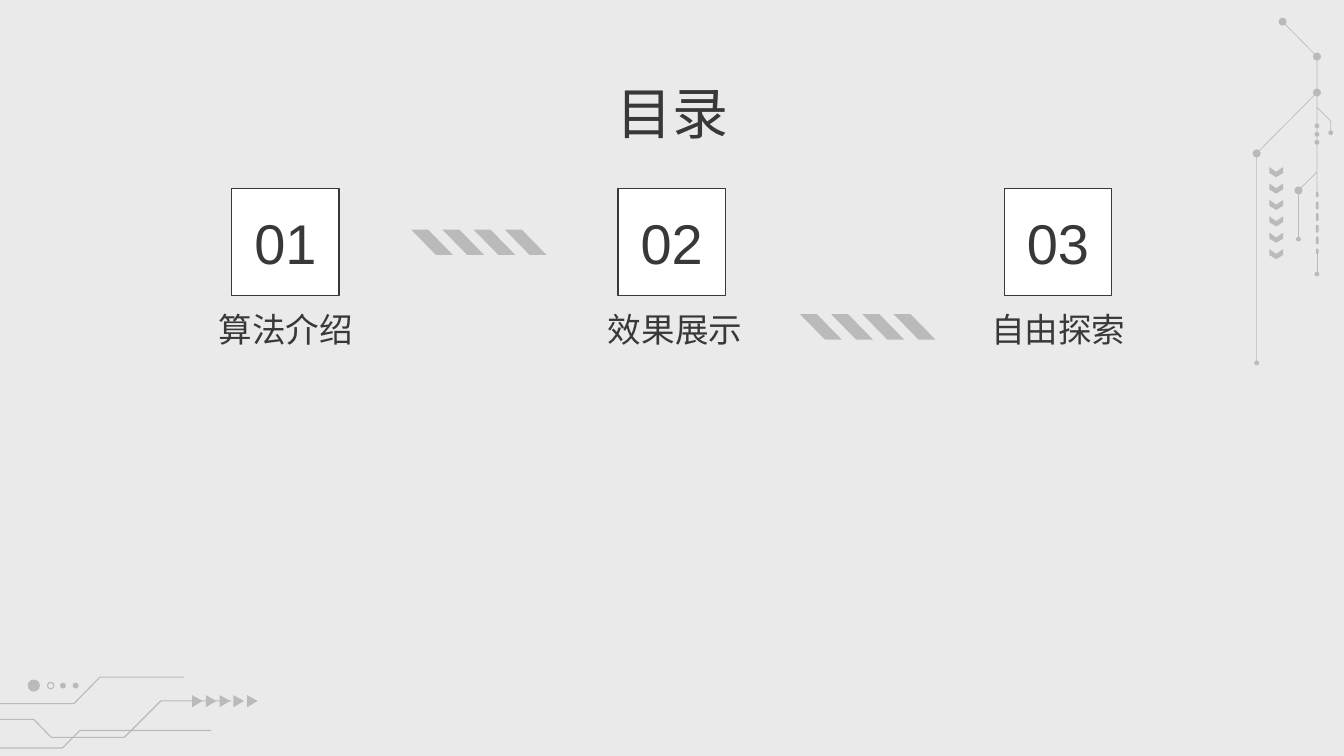
import dataclasses
import typing

import lxml.etree
import pptx
import pptx.dml.color
import pptx.enum.shapes
import pptx.enum.text
import pptx.oxml.ns
import pptx.util

Cm = pptx.util.Cm
Points = typing.Sequence[tuple[float, float]]
SHAPE = pptx.enum.shapes.MSO_SHAPE
ANCHOR = pptx.enum.text.MSO_ANCHOR


def rgb(code: str) -> pptx.dml.color.RGBColor:
    return pptx.dml.color.RGBColor.from_string(code)


@dataclasses.dataclass(frozen=True)
class Theme:
    paper: str = "EAEAEA"
    card: str = "FFFFFF"
    ink: str = "383838"
    accent: str = "BABABA"
    latin: str = "Arial"
    cjk: str = "Noto Sans CJK SC"
    heading: float = 30
    label: float = 18
    border: float = 0.75
    trace: float = 0.6
    fine: float = 0.35


@dataclasses.dataclass(frozen=True)
class Trace:
    points: Points
    width: float


@dataclasses.dataclass(frozen=True)
class Dot:
    x: float
    y: float
    size: float
    hollow: bool = False


@dataclasses.dataclass(frozen=True)
class Row:
    outline: Points
    x: float
    y: float
    count: int
    dx: float = 0
    dy: float = 0


@dataclasses.dataclass(frozen=True)
class Section:
    number: str
    name: str
    nudge: float = 0


T = Theme()
BIG, SMALL = 0.15, 0.09
SPINE = 24.89

TRACES = [
    Trace([(-0.74, 14.14), (1.18, 14.14), (1.51, 13.81), (3.99, 13.81)], T.trace),
    Trace([(-0.91, 13.6), (0.64, 13.6), (0.97, 13.94), (2.35, 13.94),
           (3.04, 13.25), (4.37, 13.25)], T.trace),
    Trace([(-0.81, 13.3), (1.4, 13.3), (1.89, 12.8), (3.48, 12.8)], T.trace),
    Trace([(24.24, 0.41), (SPINE, 1.07), (SPINE, 3.66)], T.fine),
    Trace([(SPINE, 4.76), (SPINE, 5.18)], T.fine),
    Trace([(SPINE, 2.03), (25.15, 2.29), (25.15, 2.51)], T.fine),
    Trace([(SPINE, 3.25), (24.54, 3.6), (24.54, 4.52)], T.fine),
    Trace([(SPINE, 1.75), (23.75, 2.9), (23.75, 6.86)], T.fine),
]
DOTS = [
    Dot(0.64, 12.96, 0.23), Dot(0.96, 12.96, 0.12, hollow=True),
    Dot(1.19, 12.96, 0.11), Dot(1.43, 12.96, 0.11),
    Dot(24.24, 0.41, BIG), Dot(SPINE, 1.07, BIG), Dot(SPINE, 1.75, BIG),
    Dot(23.75, 2.9, BIG), Dot(24.54, 3.6, BIG),
    Dot(SPINE, 2.38, SMALL), Dot(SPINE, 2.54, SMALL), Dot(SPINE, 2.69, SMALL),
    Dot(25.15, 2.51, SMALL), Dot(24.54, 4.52, SMALL),
    Dot(SPINE, 5.18, SMALL), Dot(23.75, 6.86, SMALL),
]
DASHES = [(3.63, 0.1), *((3.81 + 0.22 * i, 0.15) for i in range(4)), (4.7, 0.1)]

ARROW = [(0, 0), (0, 0.23), (0.2, 0.11)]
CHEVRON = [(0, 0), (0.13, 0.09), (0.26, 0), (0.26, 0.11), (0.13, 0.19), (0, 0.11)]
STRIPE = [(0, 0), (0.47, 0.48), (0.79, 0.48), (0.32, 0)]
ORNAMENTS = [
    Row(ARROW, 3.63, 13.14, 5, dx=0.26),
    Row(CHEVRON, 23.99, 3.16, 6, dy=0.31),
]
STRIPES = [
    Row(STRIPE, 7.77, 4.34, 4, dx=0.59),
    Row(STRIPE, 15.12, 5.94, 4, dx=0.59),
]
SECTIONS = [
    Section("01", "算法介绍"),
    Section("02", "效果展示", nudge=0.06),
    Section("03", "自由探索"),
]


def paint(sp, fill: str | None = None, line: str | None = None, width: float = 0) -> None:
    sp.shadow.inherit = False
    if fill:
        sp.fill.solid()
        sp.fill.fore_color.rgb = rgb(fill)
    else:
        sp.fill.background()
    if line:
        sp.line.color.rgb = rgb(line)
        sp.line.width = pptx.util.Pt(width)
    else:
        sp.line.fill.background()


def add_outline(s, points: Points, closed: bool):
    pts = [(Cm(x), Cm(y)) for x, y in points]
    fb = s.shapes.build_freeform(*pts[0], scale=1.0)
    fb.add_line_segments(pts[1:], close=closed)
    return fb.convert_to_shape()


def add_trace(s, trace: Trace) -> None:
    if len(trace.points) > 2:
        paint(add_outline(s, trace.points, False), line=T.accent, width=trace.width)
        return
    (x1, y1), (x2, y2) = trace.points
    c = s.shapes.add_connector(pptx.enum.shapes.MSO_CONNECTOR.STRAIGHT,
                               Cm(x1), Cm(y1), Cm(x2), Cm(y2))
    c.line.color.rgb = rgb(T.accent)
    c.line.width = pptx.util.Pt(trace.width)
    lxml.etree.SubElement(c._element.spPr, pptx.oxml.ns.qn("a:effectLst"))


def add_dot(s, dot: Dot) -> None:
    sp = s.shapes.add_shape(SHAPE.OVAL, Cm(dot.x - dot.size / 2),
                            Cm(dot.y - dot.size / 2), Cm(dot.size), Cm(dot.size))
    if dot.hollow:
        paint(sp, line=T.accent, width=T.trace)
    else:
        paint(sp, T.accent)


def add_row(s, row: Row) -> None:
    for i in range(row.count):
        pts = [(row.x + i * row.dx + x, row.y + i * row.dy + y) for x, y in row.outline]
        paint(add_outline(s, pts, True), T.accent)


def write(sp, text: str, *, size: float, font: str, anchor=ANCHOR.TOP) -> None:
    tf = sp.text_frame
    tf.word_wrap = True
    tf.vertical_anchor = anchor
    tf.margin_left = tf.margin_right = tf.margin_top = tf.margin_bottom = Cm(0.25)
    p = tf.paragraphs[0]
    p.alignment = pptx.enum.text.PP_ALIGN.CENTER
    r = p.add_run()
    r.text = text
    r.font.size = pptx.util.Pt(size)
    r.font.name = font
    r.font.color.rgb = rgb(T.ink)
    ea = lxml.etree.SubElement(r._r.get_or_add_rPr(), pptx.oxml.ns.qn("a:ea"))
    ea.set("typeface", font)


def add_section(s, section: Section, centre: float) -> None:
    box = s.shapes.add_shape(SHAPE.RECTANGLE, Cm(centre - 1.02), Cm(3.56), Cm(2.03), Cm(2.03))
    paint(box, T.card, T.ink, T.border)
    write(box, section.number, size=T.heading, font=T.latin, anchor=ANCHOR.MIDDLE)
    label = s.shapes.add_textbox(Cm(centre - 2.54 + section.nudge), Cm(5.59), Cm(5.08), Cm(2.03))
    write(label, section.name, size=T.label, font=T.cjk)


def main() -> None:
    prs = pptx.Presentation()
    prs.slide_width, prs.slide_height = Cm(25.4), Cm(14.29)
    s = prs.slides.add_slide(prs.slide_layouts[6])
    s.background.fill.solid()
    s.background.fill.fore_color.rgb = rgb(T.paper)

    for trace in TRACES:
        add_trace(s, trace)
    for dot in DOTS:
        add_dot(s, dot)
    for y, height in DASHES:
        dash = s.shapes.add_shape(SHAPE.ROUNDED_RECTANGLE, Cm(SPINE - 0.02), Cm(y),
                                  Cm(0.05), Cm(height))
        dash.adjustments[0] = 0.5
        paint(dash, T.accent)
    for row in ORNAMENTS:
        add_row(s, row)

    title = s.shapes.add_textbox(Cm(2), Cm(1.24), Cm(21.41), Cm(1.6))
    write(title, "目录", size=T.heading, font=T.cjk)
    for i, section in enumerate(SECTIONS):
        add_section(s, section, 5.4 + 7.3 * i)
    for row in STRIPES:
        add_row(s, row)
    prs.save("out.pptx")


if __name__ == "__main__":
    main()
